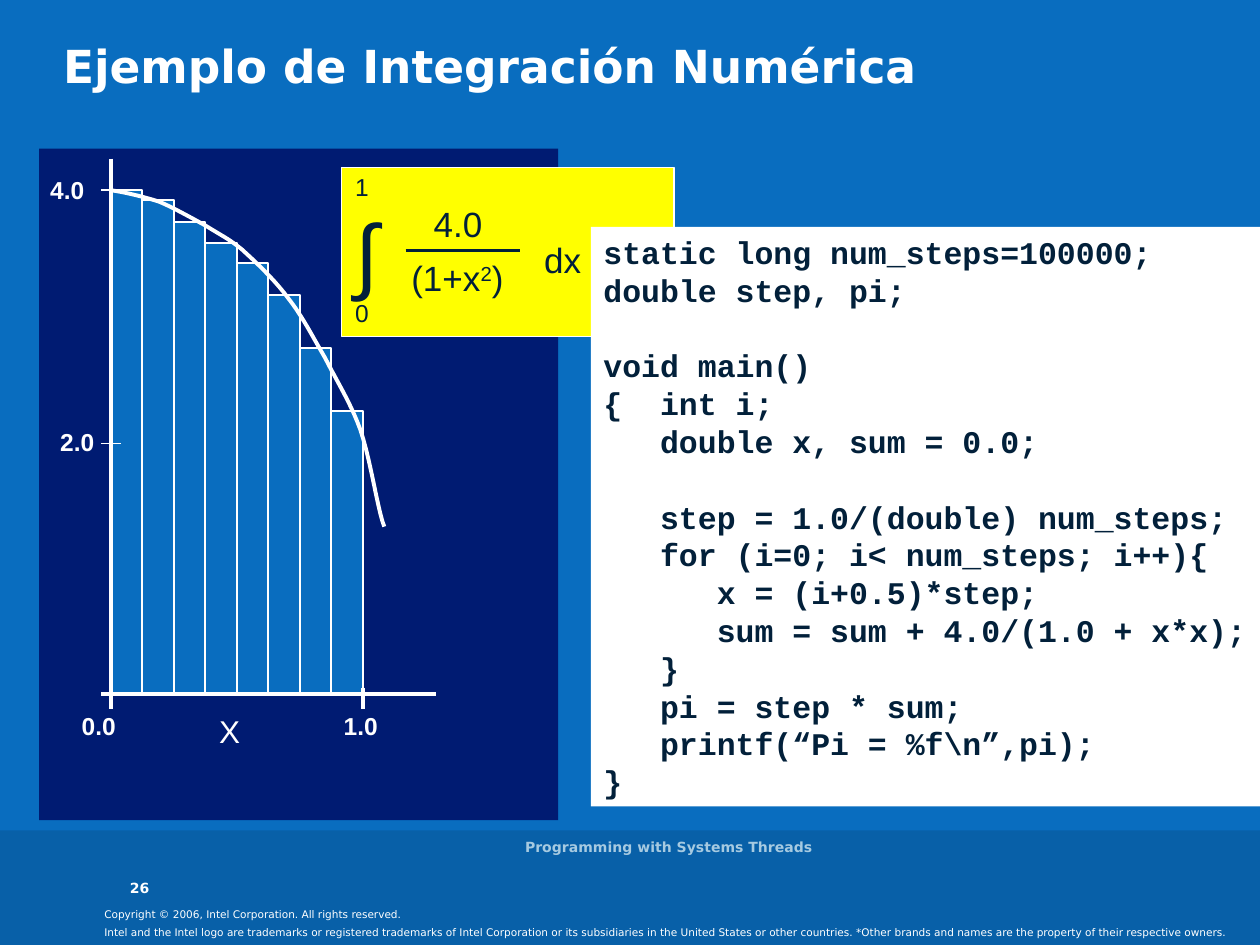
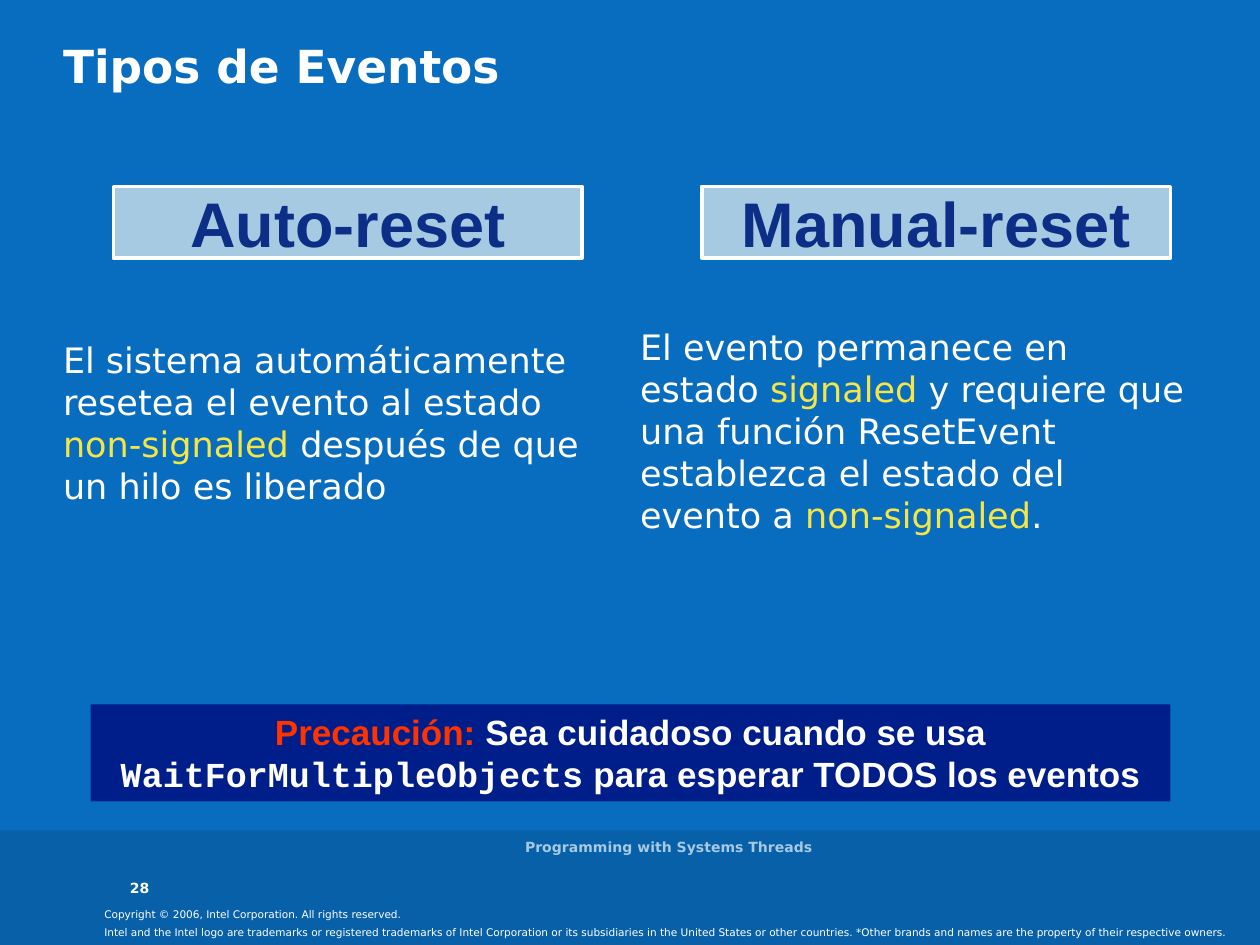
"""Build two slides on numerical integration and event types."""
from dataclasses import dataclass, replace
from typing import NamedTuple, Optional

from lxml import etree
from pptx import Presentation
from pptx import util as u
from pptx.dml.color import RGBColor
from pptx.enum import shapes, text
from pptx.oxml import ns

LEFT, CENTER = text.PP_ALIGN.LEFT, text.PP_ALIGN.CENTER
TOP, MIDDLE, BOTTOM = text.MSO_ANCHOR.TOP, text.MSO_ANCHOR.MIDDLE, text.MSO_ANCHOR.BOTTOM


@dataclass(frozen=True)
class Style:
    size: float
    color: str
    font: str
    bold: bool = False
    baseline: int = 0


@dataclass(frozen=True)
class Theme:
    background: str = "096DBF"
    band: str = "0860A8"
    plot: str = "001B72"
    formula: str = "FFFF00"
    warning: str = "001E8A"
    white: str = "FFFFFF"
    pale: str = "A6CAE1"
    ink: str = "02203A"
    title: Style = Style(26, "FFFFFF", "DejaVu Sans", True)
    body: Style = Style(20, "FFFFFF", "DejaVu Sans")
    signal: Style = Style(20, "F5E647", "DejaVu Sans")
    legal: Style = Style(6, "FFFFFF", "DejaVu Sans")
    number: Style = Style(8, "FFFFFF", "DejaVu Sans", True)
    footer: Style = Style(8, "A6CAE1", "DejaVu Sans", True)
    tick: Style = Style(14, "FFFFFF", "Arial", True)
    axis: Style = Style(18, "FFFFFF", "Arial")
    limit: Style = Style(14, "02203A", "Arial")
    term: Style = Style(20, "02203A", "Arial")
    integral: Style = Style(48, "02203A", "Arial")
    code: Style = Style(18, "02203A", "Courier New", True)
    caution: Style = Style(20, "FF3300", "Arial", True)
    advice: Style = Style(20, "FFFFFF", "Arial", True)
    function: Style = Style(20, "FFFFFF", "Courier New", True)
    heading: Style = Style(36, "0C2E86", "Arial", True)


THEME = Theme()


class Box(NamedTuple):
    left: float
    top: float
    width: float
    height: float


class Run(NamedTuple):
    text: str
    style: Style


class Label(NamedTuple):
    box: Box
    runs: list
    align: int = LEFT
    anchor: int = TOP
    padded: bool = True


class Line(NamedTuple):
    start: tuple
    end: tuple
    width: float
    color: str = THEME.white


def write_runs(paragraph, runs: list, align: int = LEFT) -> None:
    """Fill a paragraph with styled runs."""
    paragraph.alignment = align
    for item in runs:
        run = paragraph.add_run()
        run.text = item.text
        style = item.style
        formats = {"size": u.Pt(style.size), "name": style.font, "bold": style.bold}
        for name, value in formats.items():
            setattr(run.font, name, value)
        run.font.color.rgb = RGBColor.from_string(style.color)
        if style.baseline:
            run.font._element.set("baseline", str(style.baseline))


def prepare_frame(shape, anchor: int = TOP, padded: bool = True):
    """Set wrapping, anchor and margins of a text frame."""
    frame = shape.text_frame
    side, edge = (0.1, 0.05) if padded else (0, 0)
    formats = {
        "word_wrap": True,
        "vertical_anchor": anchor,
        "margin_left": u.Inches(side),
        "margin_right": u.Inches(side),
        "margin_top": u.Inches(edge),
        "margin_bottom": u.Inches(edge),
    }
    for name, value in formats.items():
        setattr(frame, name, value)
    return frame


def add_label(slide, label: Label) -> None:
    """Add a text box holding one paragraph."""
    shape = slide.shapes.add_textbox(*map(u.Inches, label.box))
    frame = prepare_frame(shape, label.anchor, label.padded)
    write_runs(frame.paragraphs[0], label.runs, label.align)


def paint_line(line, color: str, width: float) -> None:
    """Set the colour and width of a line."""
    line.color.rgb = RGBColor.from_string(color)
    line.width = u.Pt(width)


def add_panel(slide, box: Box, fill: str, border: Optional[float] = None):
    """Add a filled rectangle, with a white border if a width is given."""
    shape = slide.shapes.add_shape(shapes.MSO_SHAPE.RECTANGLE, *map(u.Inches, box))
    shape.shadow.inherit = False
    shape.fill.solid()
    shape.fill.fore_color.rgb = RGBColor.from_string(fill)
    if border is None:
        shape.line.fill.background()
    else:
        paint_line(shape.line, THEME.white, border)
    return shape


def add_line(slide, line: Line) -> None:
    """Add a straight connector without a shadow."""
    ends = map(u.Inches, (*line.start, *line.end))
    connector = slide.shapes.add_connector(shapes.MSO_CONNECTOR.STRAIGHT, *ends)
    paint_line(connector.line, line.color, line.width)
    etree.SubElement(connector._element.spPr, ns.qn("a:effectLst"))


def bezier_points(controls: list, steps: int = 10) -> list:
    """Sample a chain of cubic curves as points in EMU."""
    points = []
    for first in range(0, len(controls) - 1, 3):
        for step in range(1, steps + 1):
            t = step / steps
            weights = ((1 - t) ** 3, 3 * t * (1 - t) ** 2, 3 * t * t * (1 - t), t ** 3)
            segment = controls[first:first + 4]
            points.append(tuple(
                u.Inches(sum(w * p[axis] for w, p in zip(weights, segment)))
                for axis in (0, 1)))
    return points


def add_curve(slide, controls: list) -> None:
    """Draw the integrand as an open outline."""
    builder = slide.shapes.build_freeform(*map(u.Inches, controls[0]))
    builder.add_line_segments(bezier_points(controls), close=False)
    shape = builder.convert_to_shape()
    shape.shadow.inherit = False
    shape.fill.background()
    paint_line(shape.line, THEME.white, 2.25)


def start_slide(presentation, title: str, number: int):
    """Add a slide with its background, band, footers and title."""
    slide = presentation.slides.add_slide(presentation.slide_layouts[6])
    slide.background.fill.solid()
    slide.background.fill.fore_color.rgb = RGBColor.from_string(THEME.background)
    add_panel(slide, Box(0, 6.59, 10, 0.91), THEME.band)
    legal_lines = (
        "Copyright © 2006, Intel Corporation. All rights reserved.",
        "Intel and the Intel logo are trademarks or registered trademarks of Intel "
        "Corporation or its subsidiaries in the United States or other countries. "
        "*Other brands and names are the property of their respective owners.",
    )
    for index, line in enumerate(legal_lines):
        add_label(slide, Label(Box(0.73, 7.16 + 0.14 * index, 9.27, 0.2),
                               [Run(line, THEME.legal)]))
    for label in (
        Label(Box(1.03, 6.78, 0.45, 0.33), [Run(str(number), THEME.number)],
              anchor=BOTTOM, padded=False),
        Label(Box(3.31, 6.56, 4, 0.33),
              [Run("Programming with Systems Threads", THEME.footer)],
              CENTER, MIDDLE, False),
        Label(Box(0.5, 0.3, 9.01, 0.97), [Run(title, THEME.title)], padded=False),
    ):
        add_label(slide, label)
    return slide


def add_plot(slide) -> None:
    """Draw the bars, axes, curve and axis labels."""
    origin, base, step = 0.88, 5.51, 0.25
    add_panel(slide, Box(0.31, 1.18, 4.12, 5.33), THEME.plot)
    bar_tops = (1.51, 1.59, 1.76, 1.93, 2.09, 2.34, 2.76, 3.26)
    for index, top in enumerate(bar_tops):
        add_panel(slide, Box(origin + step * index, top, step, base - top),
                  THEME.background, 1)
    lines = [Line((origin, 1.26), (origin, base), 2.25),
             Line((3.46, base), (0.8, base), 2.25)]
    lines += [Line((0.8, y), (0.96, y), 1) for y in (1.51, 3.52)]
    lines += [Line((x, 5.46), (x, 5.63), 2.25)
              for x in (origin, origin + step * len(bar_tops))]
    for line in lines:
        add_line(slide, line)
    add_curve(slide, [
        (0.88, 1.51), (1.01, 1.53), (1.13, 1.56), (1.26, 1.6),
        (1.38, 1.65), (1.52, 1.73), (1.63, 1.79),
        (1.74, 1.86), (1.81, 1.89), (1.92, 1.98),
        (2.03, 2.08), (2.18, 2.22), (2.29, 2.37),
        (2.4, 2.51), (2.48, 2.67), (2.58, 2.84),
        (2.67, 3.02), (2.78, 3.19), (2.86, 3.41),
        (2.94, 3.64), (3, 4.06), (3.05, 4.18),
    ])
    for tick, left, top in (("4.0", 0.3, 1.34), ("2.0", 0.38, 3.34),
                            ("1.0", 2.63, 5.59), ("0.0", 0.55, 5.59)):
        add_label(slide, Label(Box(left, top, 0.5, 0.34), [Run(tick, THEME.tick)]))
    add_label(slide, Label(Box(1.64, 5.6, 0.39, 0.4), [Run("X", THEME.axis)]))


def add_formula(slide) -> None:
    """Draw the integral on its yellow panel."""
    add_panel(slide, Box(2.71, 1.33, 2.64, 1.34), THEME.formula, 0.75)
    term = THEME.term
    for label in (
        Label(Box(2.72, 1.54, 0.42, 1.57), [Run("∫", THEME.integral)]),
        Label(Box(3.01, 1.56, 1.25, 0.44), [Run("4.0", term)], CENTER),
        Label(Box(2.92, 1.99, 1.42, 0.44),
              [Run("(1+x", term), Run("2", replace(term, baseline=30000)),
               Run(")", term)], CENTER),
        Label(Box(4.22, 1.84, 0.6, 0.44), [Run("dx", term)]),
        Label(Box(2.72, 2.32, 0.33, 0.34), [Run("0", THEME.limit)]),
        Label(Box(2.72, 1.32, 0.33, 0.34), [Run("1", THEME.limit)]),
    ):
        add_label(slide, label)
    add_line(slide, Line((3.22, 1.99), (4.13, 1.99), 1.5, THEME.ink))


def add_code(slide) -> None:
    """Write the program on its white panel."""
    blocks = (
        ("static long num_steps=100000; double step, pi;",),
        ("void main()", "{  int i;", "   double x, sum = 0.0;"),
        ("   step = 1.0/(double) num_steps;", "   for (i=0; i< num_steps; i++){",
         "      x = (i+0.5)*step;", "      sum = sum + 4.0/(1.0 + x*x);", "   }",
         "   pi = step * sum;", "   printf(“Pi = %f\\n”,pi);", "}"),
    )
    frame = prepare_frame(add_panel(slide, Box(4.69, 1.8, 5.31, 4.6), THEME.white))
    paragraph = frame.paragraphs[0]
    for block_index, block in enumerate(blocks):
        for line_index, line in enumerate(block):
            if block_index:
                paragraph = frame.add_paragraph()
                paragraph.space_before = u.Pt(0 if line_index else 21.6)
            write_runs(paragraph, [Run(line, THEME.code)])


def build_integration(presentation) -> None:
    """Build the numerical integration slide."""
    slide = start_slide(presentation, "Ejemplo de Integración Numérica", 26)
    add_plot(slide)
    add_formula(slide)
    add_code(slide)


def build_events(presentation) -> None:
    """Build the event types slide."""
    slide = start_slide(presentation, "Tipos de Eventos", 28)
    body, signal = THEME.body, THEME.signal
    for label in (
        Label(Box(0.5, 2.69, 4.42, 1.4),
              [Run("El sistema automáticamente resetea el evento al estado ", body),
               Run("non-signaled", signal),
               Run(" después de que un hilo es liberado", body)], padded=False),
        Label(Box(5.08, 2.58, 4.42, 1.7),
              [Run("El evento permanece en estado ", body), Run("signaled", signal),
               Run(" y requiere que una función ResetEvent establezca el estado "
                   "del evento a ", body),
               Run("non-signaled", signal), Run(".", body)], padded=False),
    ):
        add_label(slide, label)
    warning = add_panel(slide, Box(0.72, 5.59, 8.57, 0.77), THEME.warning)
    write_runs(prepare_frame(warning).paragraphs[0], [
        Run("Precaución:", THEME.caution),
        Run(" Sea cuidadoso cuando se usa ", THEME.advice),
        Run("WaitForMultipleObjects", THEME.function),
        Run(" para esperar TODOS los eventos", THEME.advice)], CENTER)
    for heading, left in (("Auto-reset", 0.9), ("Manual-reset", 5.57)):
        panel = add_panel(slide, Box(left, 1.48, 3.72, 0.57), THEME.pale, 2)
        write_runs(prepare_frame(panel, MIDDLE).paragraphs[0],
                   [Run(heading, THEME.heading)], CENTER)


def main() -> None:
    """Build and save the presentation."""
    presentation = Presentation()
    presentation.slide_width = u.Inches(10)
    presentation.slide_height = u.Inches(7.5)
    build_integration(presentation)
    build_events(presentation)
    presentation.save("out.pptx")


if __name__ == "__main__":
    main()
